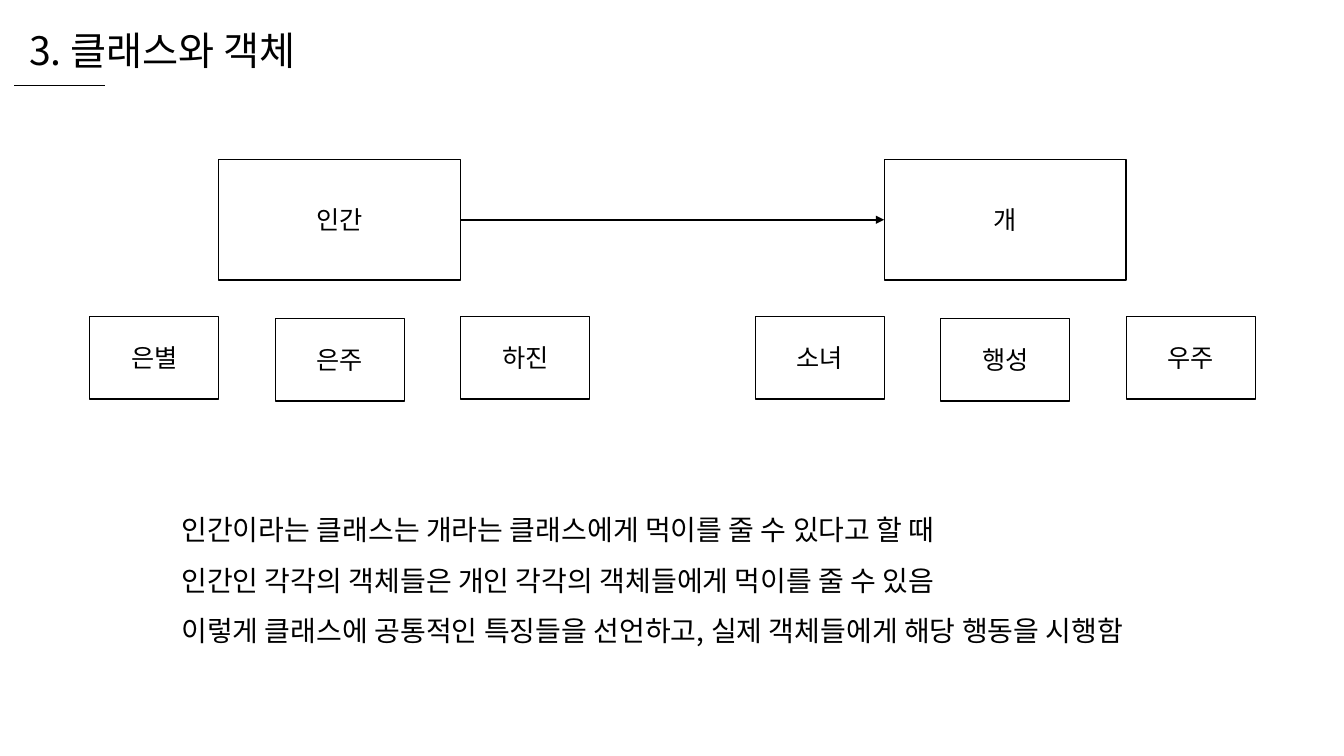
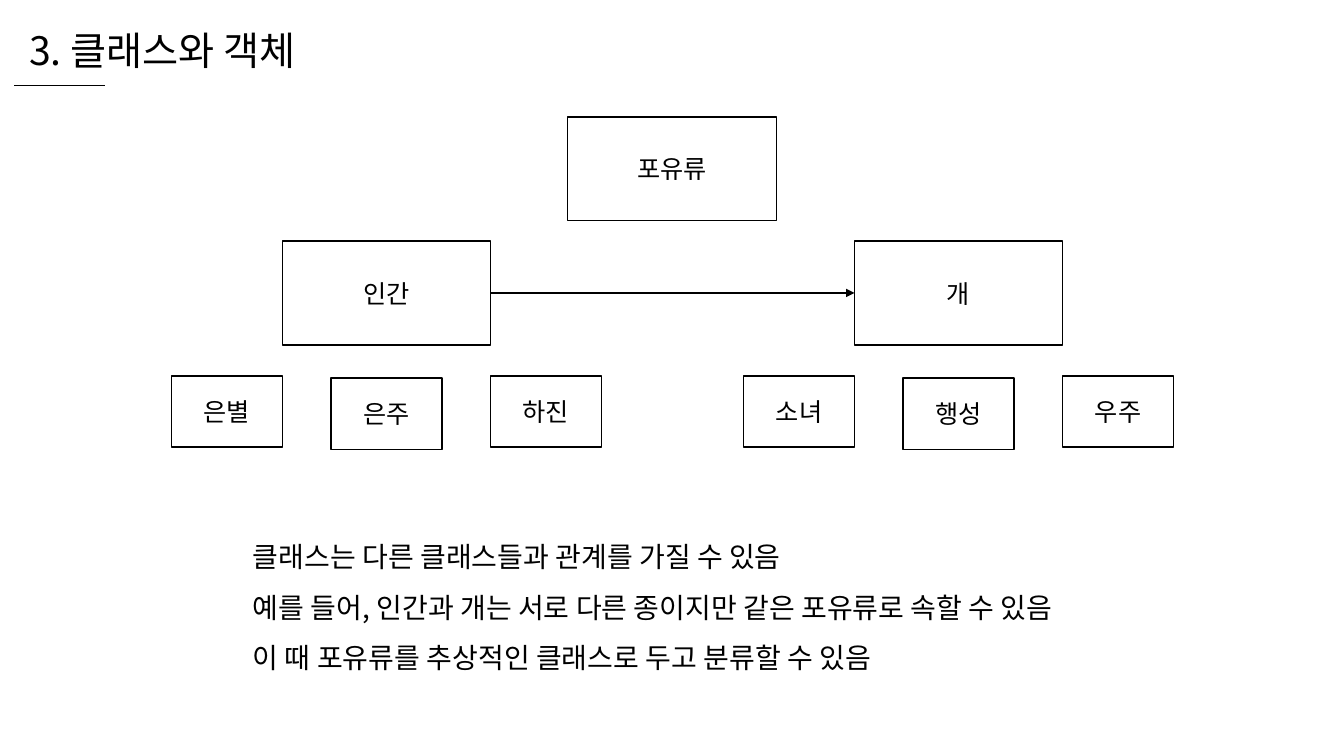
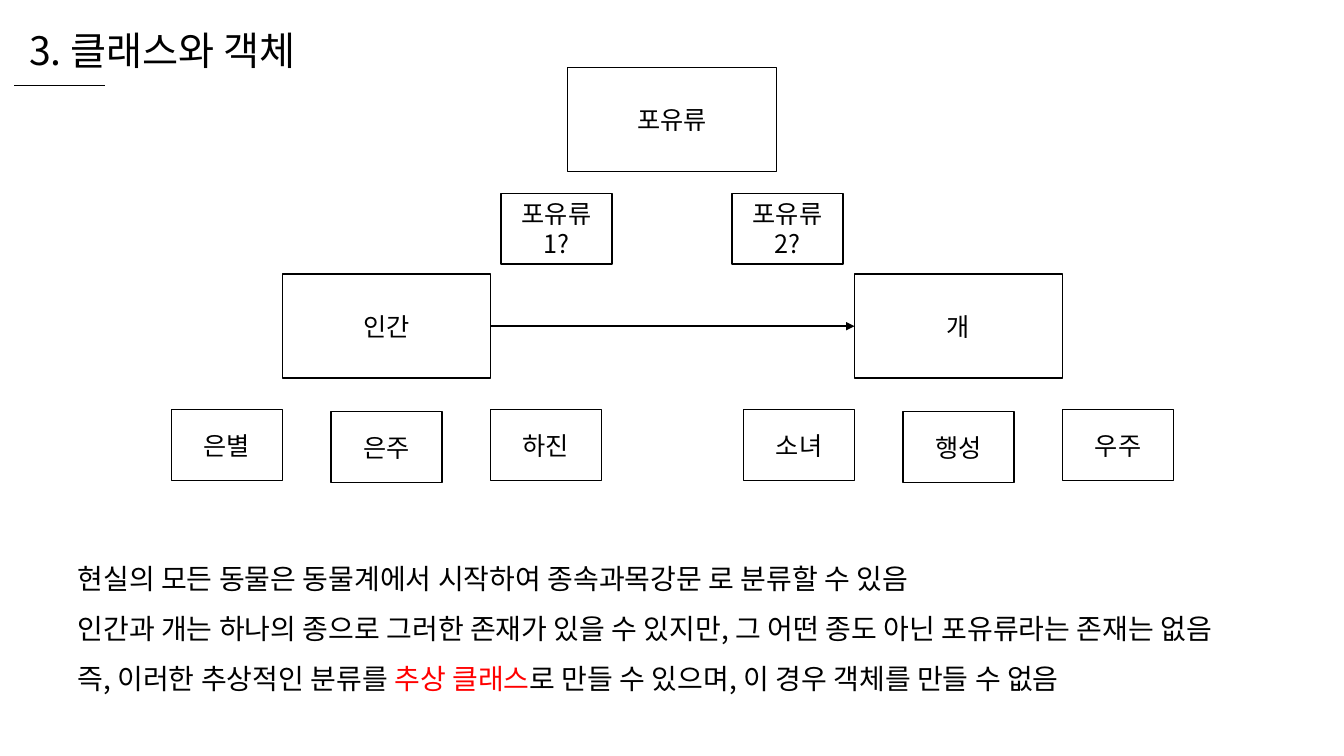
from lxml.etree import SubElement
from pptx import Presentation
from pptx.dml.color import RGBColor
from pptx.enum.shapes import MSO_CONNECTOR as LineKind, MSO_SHAPE as Preset
from pptx.enum.text import MSO_ANCHOR as Anchor, MSO_AUTO_SIZE as AutoSize, PP_ALIGN as Align
from pptx.oxml.ns import qn
from pptx.util import Inches, Pt

FONT = "Noto Sans CJK KR"
COLORS = {"ink": "000000", "paper": "FFFFFF", "accent": "FF0000"}
TITLE = "3. 클래스와 객체"
FULL_WIDTH = 11.56
FAMILIES = [("인간", ["은별", "은주", "하진"]), ("개", ["소녀", "행성", "우주"])]
CLASS_SIZE = (2.07, 1.03)
OBJECT_SIZE = (1.1, 0.7)


def color(key):
    return RGBColor.from_string(COLORS[key])


def write(frame, paragraphs, size=18, align=Align.LEFT, spacing=None):
    for index, runs in enumerate(paragraphs):
        paragraph = frame.paragraphs[0] if index == 0 else frame.add_paragraph()
        paragraph.alignment = align
        if spacing:
            paragraph.line_spacing = spacing
        for words, key in [(runs, "ink")] if isinstance(runs, str) else runs:
            run = paragraph.add_run()
            run.text = words
            run.font.size = Pt(size)
            run.font.name = FONT
            run.font.color.rgb = color(key)
            SubElement(run.font._element, qn("a:ea")).set("typeface", FONT)


def text_block(slide, left, top, width, height, paragraphs, **text_format):
    block = slide.shapes.add_textbox(Inches(left), Inches(top), Inches(width), Inches(height))
    block.text_frame.word_wrap = False
    block.text_frame.auto_size = AutoSize.SHAPE_TO_FIT_TEXT
    write(block.text_frame, paragraphs, **text_format)


def labelled_box(slide, left, top, width, height, label):
    box = slide.shapes.add_shape(
        Preset.RECTANGLE, Inches(left), Inches(top), Inches(width), Inches(height))
    box.shadow.inherit = False
    box.fill.solid()
    box.fill.fore_color.rgb = color("paper")
    box.line.color.rgb = color("ink")
    box.line.width = Pt(1)
    box.text_frame.word_wrap = True
    box.text_frame.vertical_anchor = Anchor.MIDDLE
    write(box.text_frame, [label], align=Align.CENTER)
    return box


def rule(slide, start, end, weight):
    line = slide.shapes.add_connector(LineKind.STRAIGHT, *map(Inches, start + end))
    line.line.color.rgb = color("ink")
    line.line.width = Pt(weight)
    SubElement(line._element.spPr, qn("a:effectLst"))
    return line


def arrow(slide, source, target):
    link = rule(slide, (0, 0), (1, 0), 1.5)
    link.begin_connect(source, 3)
    link.end_connect(target, 1)
    SubElement(link.line._get_or_add_ln(), qn("a:tailEnd")).set("type", "triangle")


def family(slide, left, top, scale, class_name, object_names):
    object_width = 1.28 * scale
    class_box = labelled_box(
        slide, left + object_width, top, 2.4 * scale, 1.2 * scale, class_name)
    for index, name in enumerate(object_names):
        drop = 0.02 if index == 1 else 0
        labelled_box(slide, left + 1.84 * scale * index, top + 1.56 * scale + drop,
                     object_width, 0.82 * scale, name)
    return class_box


def class_diagram(slide, left, top, width):
    scale = width / FULL_WIDTH
    human, dog = [
        family(slide, left + 6.6 * scale * index, top, scale, class_name, object_names)
        for index, (class_name, object_names) in enumerate(FAMILIES)
    ]
    arrow(slide, human, dog)


def content_slide(deck, explanation, explanation_box, diagram_box):
    slide = deck.slides.add_slide(deck.slide_layouts[6])
    text_block(slide, 0.19, 0.21, 3.11, 0.57, [TITLE], size=28)
    rule(slide, (0.14, 0.85), (1.04, 0.85), 0.5)
    text_block(slide, *explanation_box, explanation, size=20, spacing=1.5)
    class_diagram(slide, *diagram_box)
    return slide


def main():
    deck = Presentation()
    deck.slide_width, deck.slide_height = Inches(13.33), Inches(7.5)

    content_slide(deck, [
        "인간이라는 클래스는 개라는 클래스에게 먹이를 줄 수 있다고 할 때",
        "인간인 각각의 객체들은 개인 각각의 객체들에게 먹이를 줄 수 있음",
        "이렇게 클래스에 공통적인 특징들을 선언하고, 실제 객체들에게 해당 행동을 시행함",
    ], (1.7, 4.87, 9.94, 1.56), (0.89, 1.58, FULL_WIDTH))

    relations = content_slide(deck, [
        "클래스는 다른 클래스들과 관계를 가질 수 있음",
        "예를 들어, 인간과 개는 서로 다른 종이지만 같은 포유류로 속할 수 있음",
        "이 때 포유류를 추상적인 클래스로 두고 분류할 수 있음",
    ], (2.41, 5.14, 8.52, 1.56), (1.7, 2.39, 9.94))
    labelled_box(relations, 5.63, 1.16, *CLASS_SIZE, "포유류")

    abstraction = content_slide(deck, [
        "현실의 모든 동물은 동물계에서 시작하여 종속과목강문 로 분류할 수 있음",
        "인간과 개는 하나의 종으로 그러한 존재가 있을 수 있지만, 그 어떤 종도 아닌 포유류라는 존재는 없음",
        [("즉, 이러한 추상적인 분류를 ", "ink"), ("추상 클래스", "accent"),
         ("로 만들 수 있으며, 이 경우 객체를 만들 수 없음", "ink")],
    ], (0.67, 5.35, 11.99, 1.56), (1.7, 2.72, 9.94))
    labelled_box(abstraction, 5.63, 0.67, *CLASS_SIZE, "포유류")
    for left, label in [(4.97, "포유류1?"), (7.26, "포유류2?")]:
        labelled_box(abstraction, left, 1.92, *OBJECT_SIZE, label)

    deck.save("out.pptx")


if __name__ == "__main__":
    main()
